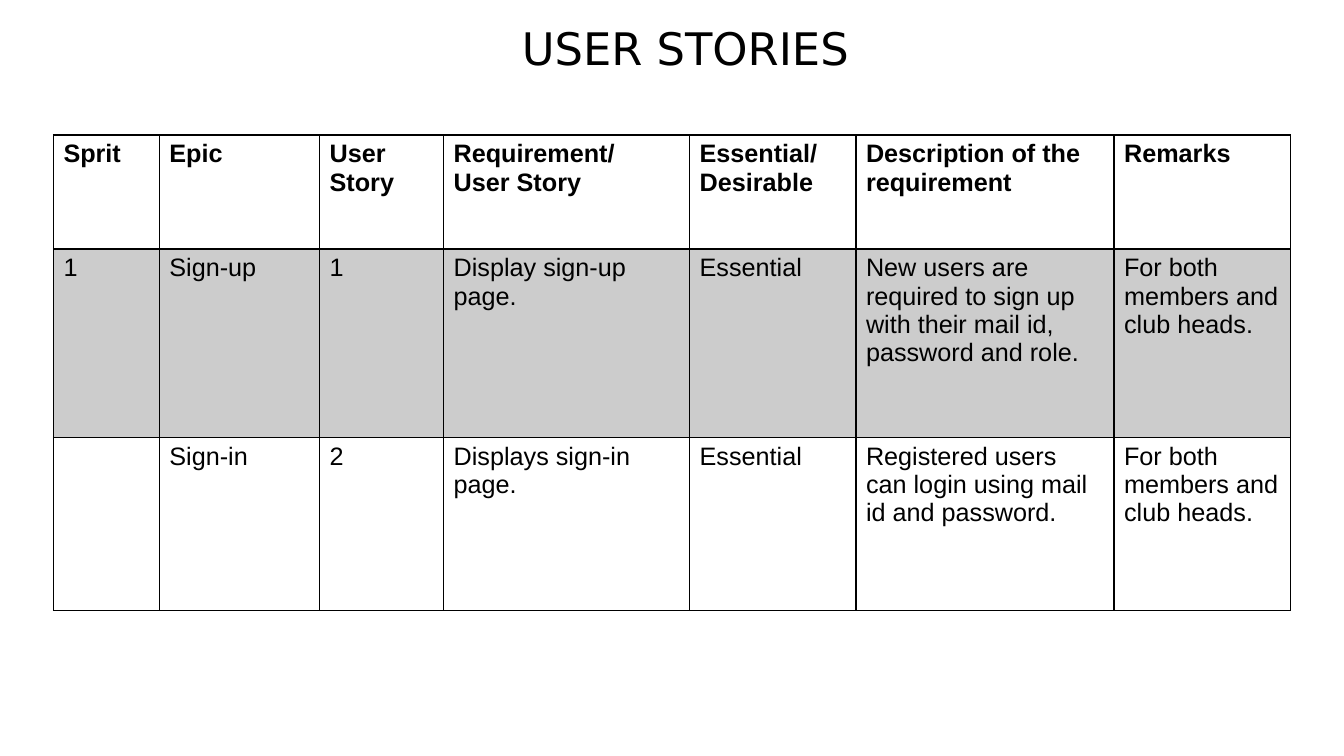
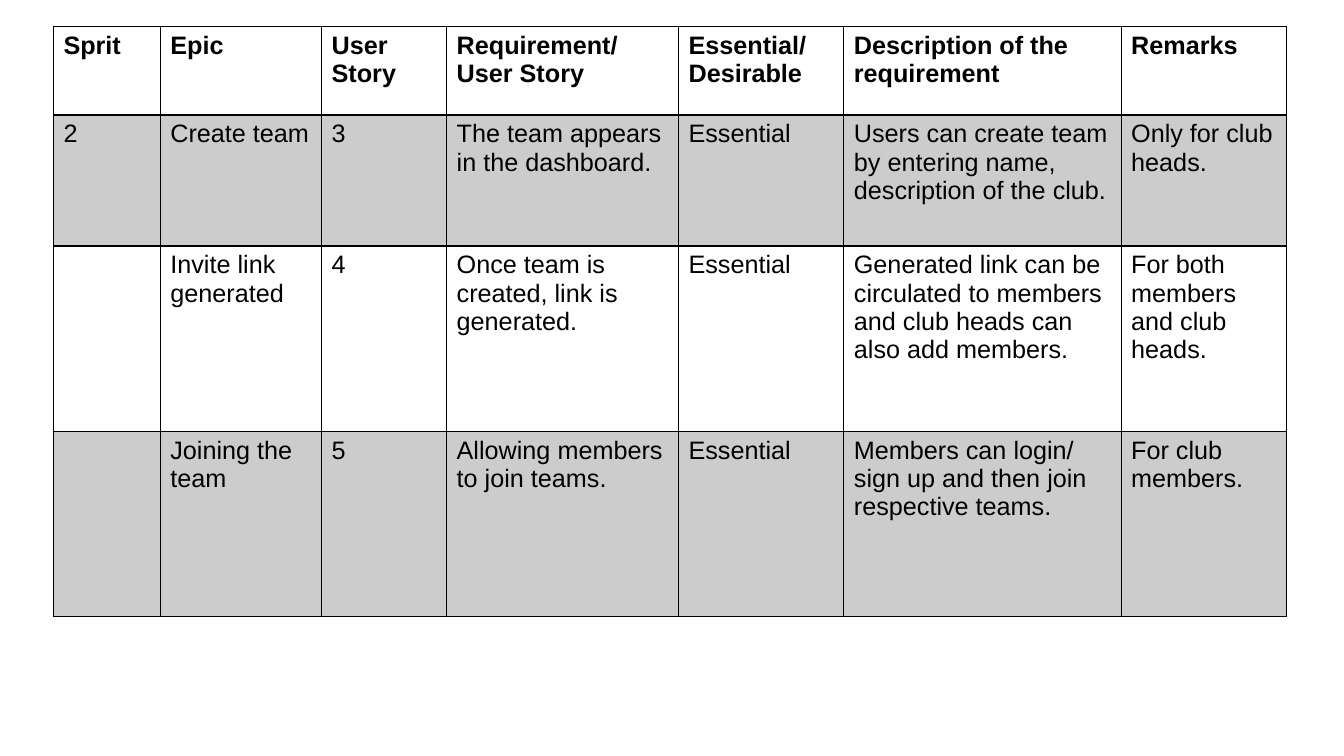
from lxml import etree
from pptx import Presentation
from pptx.dml.color import RGBColor
from pptx.enum.text import MSO_ANCHOR, PP_ALIGN
from pptx.oxml.ns import qn
from pptx.util import Inches, Pt

LEFT = PP_ALIGN.LEFT
CENTER = PP_ALIGN.CENTER
MIDDLE = MSO_ANCHOR.MIDDLE
BLACK = "000000"
WHITE = "FFFFFF"
GRAY = "CCCCCC"
HEAD = ["Sprit", "Epic", "User Story", "Requirement/\nUser Story",
        "Essential/\nDesirable", "Description of the requirement", "Remarks"]
BOTH = "For both members and club heads."

ENTRY = [
    ["1", "Sign-up", "1", "Display sign-up page.", "Essential",
     "New users are required to sign up with their mail id, password and role.", BOTH],
    ["", "Sign-in", "2", "Displays sign-in page.", "Essential",
     "Registered users can login using mail id and password.", BOTH],
]
TEAMS = [
    ["2", "Create team", "3", "The team appears in the dashboard.", "Essential",
     "Users can create team by entering name, description of the club.",
     "Only for club heads."],
    ["", "Invite link generated", "4", "Once team is created, link is generated.",
     "Essential", "Generated link can be circulated to members and club heads can "
     "also add members.", BOTH],
    ["", "Joining the team", "5", "Allowing members to join teams.", "Essential",
     "Members can login/ sign up and then join respective teams.", "For club members."],
]


def color(code):
    return RGBColor.from_string(code)


def write(frame, text, size=18, font="Arial", bold=False, align=LEFT, ink=BLACK):
    frame.word_wrap = True
    for i, line in enumerate(text.split("\n")):
        para = frame.paragraphs[0] if i == 0 else frame.add_paragraph()
        para.alignment = align
        para.font.size = Pt(size)
        if not line:
            continue
        run = para.add_run()
        run.text = line
        run.font.name = font
        run.font.size = Pt(size)
        run.font.bold = bold
        run.font.color.rgb = color(ink)


def border(cell, side, width):
    props = cell._tc.get_or_add_tcPr()
    line = etree.SubElement(props, qn("a:ln" + side), w=str(Pt(width)))
    fill = etree.SubElement(line, qn("a:solidFill"))
    etree.SubElement(fill, qn("a:srgbClr"), val=BLACK)


def title(slide, box, text):
    shape = slide.shapes.add_textbox(*map(Inches, box))
    shape.text_frame.vertical_anchor = MIDDLE
    write(shape.text_frame, text, size=32, font="DejaVu Sans", align=CENTER)


def stories(slide, left, top, cols, heights, body):
    rows = [HEAD] + body
    frame = slide.shapes.add_table(len(rows), len(cols), Inches(left), Inches(top),
                                   Inches(sum(cols)), Inches(sum(heights)))
    table = frame.table
    table.first_row = table.horz_banding = False
    for col, width in zip(table.columns, cols):
        col.width = Inches(width)
    for r, row in enumerate(rows):
        table.rows[r].height = Inches(heights[r])
        for c, text in enumerate(row):
            cell = table.cell(r, c)
            write(cell.text_frame, text, bold=r == 0)
            for side in "LRTB":
                thick = (r, side) in ((0, "B"), (1, "T"))
                border(cell, side, 2 if thick else 1)
            cell.fill.solid()
            cell.fill.fore_color.rgb = color(GRAY if r % 2 else WHITE)


def main():
    deck = Presentation()
    deck.slide_width, deck.slide_height = Inches(13.33), Inches(7.5)
    blank = deck.slide_layouts[6]

    first = deck.slides.add_slide(blank)
    title(first, (0.8, 0, 12, 0.94), "USER STORIES")
    stories(first, 0.53, 1.34, [1.05, 1.59, 1.23, 2.44, 1.65, 2.56, 1.75],
            [1.13, 1.87, 1.72], ENTRY)

    second = deck.slides.add_slide(blank)
    stories(second, 0.53, 0.26, [1.06, 1.6, 1.24, 2.3, 1.64, 2.75, 1.64],
            [0.88, 1.3, 1.84, 1.84], TEAMS)
    deck.save("out.pptx")


if __name__ == "__main__":
    main()
